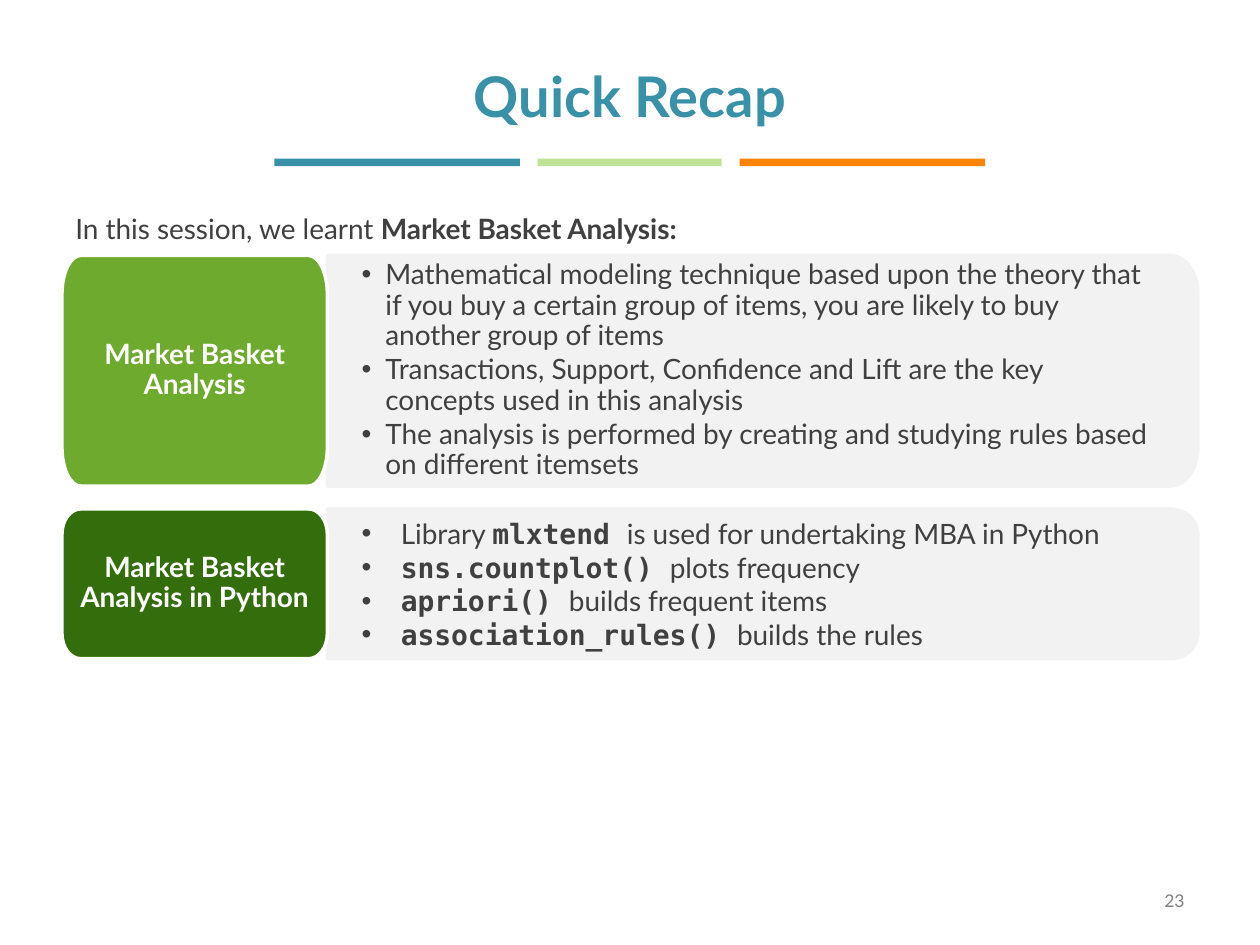
from dataclasses import dataclass

from lxml.etree import SubElement
from pptx import Presentation
from pptx.dml.color import RGBColor
from pptx.enum.shapes import MSO_SHAPE
from pptx.enum.text import MSO_ANCHOR, PP_ALIGN
from pptx.oxml.ns import qn
from pptx.util import Cm, Pt


@dataclass(frozen=True)
class Theme:
    teal: str = "3891A7"
    lime: str = "BEE396"
    orange: str = "FF850A"
    green: str = "6EAA2E"
    dark_green: str = "336D0C"
    panel: str = "F2F2F2"
    white: str = "FFFFFF"
    text: str = "404040"
    muted: str = "808080"
    body_font: str = "Lato"
    code_font: str = "DejaVu Sans Mono"
    title_size: int = 32
    body_size: int = 16
    number_size: int = 10


theme = Theme()
PLAIN = (theme.body_font, False)
BOLD = (theme.body_font, True)
CODE = (theme.code_font, True)


def write(frame, paragraphs, size, color, align=PP_ALIGN.LEFT, line_spacing=None,
          space_after=0, indent=None):
    """Fill a text frame; each paragraph is a list of (text, (font, bold)) runs."""
    frame.word_wrap = True
    for index, runs in enumerate(paragraphs):
        paragraph = frame.add_paragraph() if index else frame.paragraphs[0]
        paragraph.alignment = align
        paragraph.line_spacing = line_spacing
        paragraph.space_after = Pt(space_after)
        for text, (font, bold) in runs:
            run = paragraph.add_run()
            run.text = text
            run.font.name, run.font.bold = font, bold
            run.font.size = Pt(size)
            run.font.color.rgb = RGBColor.from_string(color)
        if indent:
            properties = paragraph._p.get_or_add_pPr()
            properties.set("marL", str(indent))
            properties.set("indent", str(-indent))
            SubElement(properties, qn("a:buFont"), typeface="Arial")
            SubElement(properties, qn("a:buChar"), char="•")


def add_block(left, top, width, height, left_radius, right_radius, fill, line, insets):
    """Draw a block with elliptical corners; a zero radius leaves that side square."""
    drop = height / 6
    right, bottom = left + width, top + height
    # Each corner, clockwise: where the outline enters, the corner itself, where it leaves
    corners = [
        ((left, top + drop), (left, top), (left + left_radius, top)),
        ((right - right_radius, top), (right, top), (right, top + drop)),
        ((right, bottom - drop), (right, bottom), (right - right_radius, bottom)),
        ((left + left_radius, bottom), (left, bottom), (left, bottom - drop)),
    ]
    points, curves = [], {}
    for enter, corner, leave in corners:
        if corner in (enter, leave):
            points.append(corner)
        else:
            points += [enter, leave]
            curves[len(points) - 1] = [
                tuple(a + 0.55 * (c - a) for a, c in zip(end, corner)) for end in (enter, leave)]
    vertices = [(Cm(x), Cm(y)) for x, y in points]
    builder = slide.shapes.build_freeform(*vertices[0])
    builder.add_line_segments(vertices[1:], close=True)
    block = builder.convert_to_shape()

    # Turn the straight corner cuts into curves
    outline = next(block._element.iter(qn("a:path")))
    for index, controls in curves.items():
        cut = outline[index]
        cut.tag = qn("a:cubicBezTo")
        for position, (x, y) in enumerate(controls):
            control = SubElement(cut, qn("a:pt"), x=str(Cm(x - left)), y=str(Cm(y - top)))
            cut.insert(position, control)

    block.shadow.inherit = False
    block.fill.solid()
    block.fill.fore_color.rgb = RGBColor.from_string(fill)
    block.line.color.rgb = RGBColor.from_string(line)
    block.line.width = Pt(2)
    frame = block.text_frame
    frame.vertical_anchor = MSO_ANCHOR.MIDDLE
    frame.margin_left, frame.margin_top, frame.margin_right, frame.margin_bottom = map(Cm, insets)
    return frame


deck = Presentation()
deck.slide_width, deck.slide_height = Cm(25.4), Cm(19.05)
slide = deck.slides.add_slide(deck.slide_layouts[6])

# Title
title = slide.shapes.add_textbox(Cm(1.27), Cm(1.12), Cm(22.86), Cm(1.85))
write(title.text_frame, [[("Quick Recap", BOLD)]], theme.title_size, theme.teal, PP_ALIGN.CENTER)

# Three-colour rule below the title
bar_left = 5.53
for bar_width, color in [(4.95, theme.teal), (3.71, theme.lime), (4.95, theme.orange)]:
    bar = slide.shapes.add_shape(MSO_SHAPE.RECTANGLE, Cm(bar_left), Cm(3.2), Cm(bar_width), Cm(0.15))
    bar.shadow.inherit = False
    bar.fill.solid()
    bar.fill.fore_color.rgb = RGBColor.from_string(color)
    bar.line.fill.background()
    bar_left += bar_width + 0.36

# Topics: a grey panel of points beside each coloured tab
topics = [
    dict(name="Market Basket Analysis", color=theme.green, top=5.15, height=4.65,
         indent=Cm(0.48), line_spacing=0.9, space_after=2.4, points=[
             [("Mathematical modeling technique based upon the theory that if you buy a certain "
               "group of items, you are likely to buy another group of items", PLAIN)],
             [("Transactions, Support, Confidence and Lift are the key concepts used in this "
               "analysis", PLAIN)],
             [("The analysis is performed by creating and studying rules based on different "
               "itemsets", PLAIN)]]),
    dict(name="Market Basket Analysis in Python", color=theme.dark_green, top=10.26, height=3.02,
         indent=Cm(0.79), line_spacing=None, space_after=0, points=[
             [("Library ", PLAIN), ("mlxtend ", CODE),
              ("is used for undertaking MBA in Python", PLAIN)],
             [("sns.countplot() ", CODE), ("plots frequency", PLAIN)],
             [("apriori() ", CODE), ("builds frequent items", PLAIN)],
             [("association_rules() ", CODE), ("builds the rules", PLAIN)]]),
]
tab_left, tab_width, panel_width = 1.25, 5.35, 17.55
for topic in topics:
    panel = add_block(tab_left + tab_width, topic["top"], panel_width, topic["height"], 0, 0.56,
                      theme.panel, theme.panel, (0.69, 0.46, 0.81, 0.46))
    write(panel, topic["points"], theme.body_size, theme.text, line_spacing=topic["line_spacing"],
          space_after=topic["space_after"], indent=topic["indent"])
    tab = add_block(tab_left, topic["top"], tab_width, topic["height"], 0.38, 0.38,
                    topic["color"], theme.white, (0.33, 0.23, 0.33, 0.23))
    write(tab, [[(topic["name"], BOLD)]], theme.body_size, theme.white, PP_ALIGN.CENTER, 0.9)

# Introductory sentence
intro = slide.shapes.add_textbox(Cm(1.27), Cm(3.81), Cm(22.43), Cm(1.17))
write(intro.text_frame, [[("In this session, we learnt ", PLAIN), ("Market Basket Analysis:", BOLD)]],
      theme.body_size, theme.text, line_spacing=1.5)

# Page number
number = slide.shapes.add_textbox(Cm(18.21), Cm(17.65), Cm(5.92), Cm(1.02))
number.text_frame.vertical_anchor = MSO_ANCHOR.MIDDLE
write(number.text_frame, [[("23", PLAIN)]], theme.number_size, theme.muted, PP_ALIGN.RIGHT)

deck.save("out.pptx")
